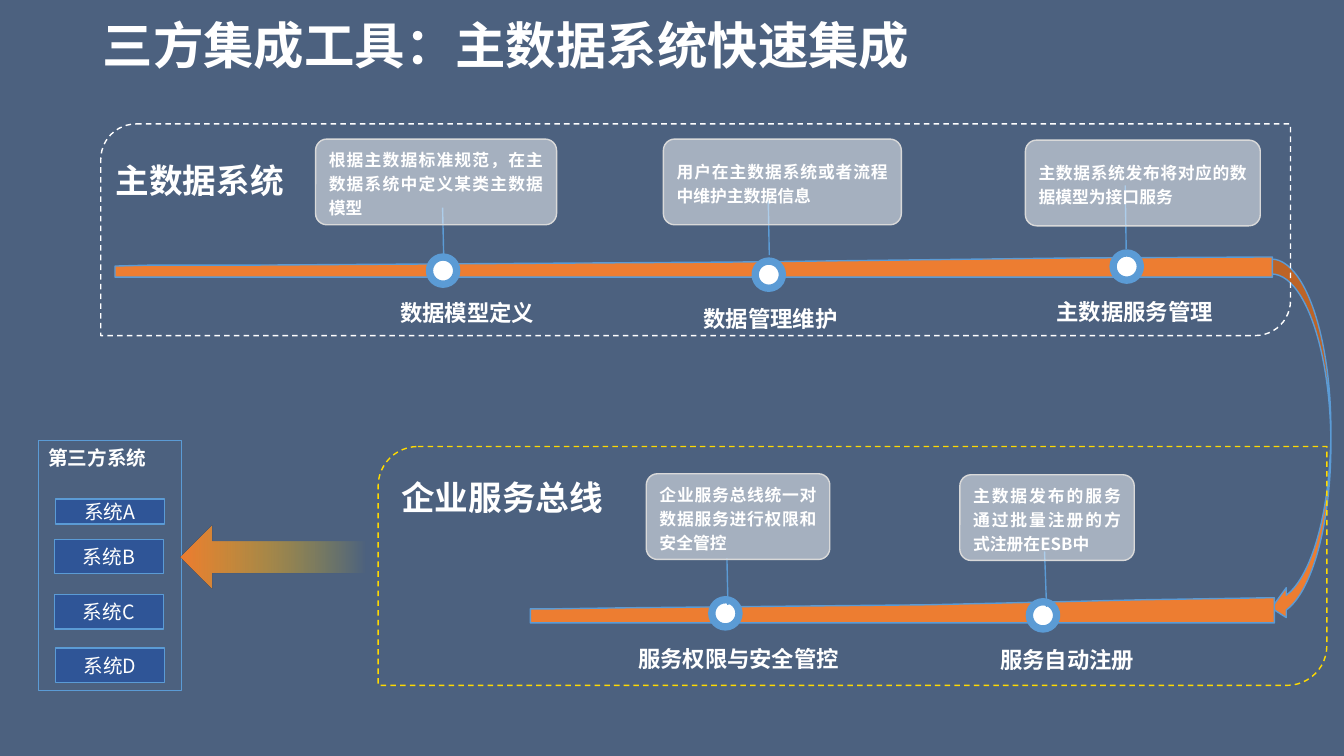
from lxml.etree import SubElement
from pptx import Presentation
from pptx.dml.color import RGBColor
from pptx.enum.dml import MSO_LINE
from pptx.enum.shapes import MSO_CONNECTOR, MSO_SHAPE
from pptx.enum.text import MSO_ANCHOR, PP_ALIGN
from pptx.oxml.ns import qn
from pptx.util import Inches, Pt

FONT = "Noto Sans CJK SC"
HUE = {"navy": "001F4A", "white": "FFFFFF", "blue": "5B9BD5", "deep": "2F5597",
       "orange": "ED7D31", "gold": "FFDA00", "grey": "D9D9D9"}
TITLE = {"size": 36, "line_spacing": 0.9, "anchor": MSO_ANCHOR.MIDDLE}
HEAD = {"size": 24, "alignment": PP_ALIGN.CENTER, "word_wrap": False}
LABEL = {"size": 16, "alignment": PP_ALIGN.JUSTIFY, "line_spacing": 1.2}
CARD = {"size": 12, "alignment": PP_ALIGN.JUSTIFY, "line_spacing": 1.2,
        "anchor": MSO_ANCHOR.MIDDLE}
OWNER = {"size": 14, "alignment": PP_ALIGN.LEFT}
UNIT = {"size": 14, "bold": False, "alignment": PP_ALIGN.CENTER,
        "anchor": MSO_ANCHOR.MIDDLE}

BANDS = [
    [(12.62, 2.55), (12.62, 2.75), (1.14, 2.75), (1.14, 2.64), (1.51, 2.63),
     (2.58, 2.63), (7.29, 2.6), (10.62, 2.56), (12.54, 2.55)],
    [(12.64, 5.93), (12.64, 6.18), (5.26, 6.18), (5.26, 6.04), (5.5, 6.04),
     (6.19, 6.03), (9.21, 6), (11.35, 5.95), (12.59, 5.93)],
]
STEPS = [
    ((4.26, 2.55), (4.39, 2.06, 4.4, 2.52),
     (3.87, 2.87, 1.68, 0.4), "数据模型定义",
     (3.13, 1.38, 2.39, 0.85), "根据主数据标准规范，在主数据系统中定义某类主数据模型"),
    ((7.49, 2.59), (7.62, 1.99, 7.63, 2.53),
     (6.88, 2.92, 1.68, 0.4), "数据管理维护",
     (6.58, 1.38, 2.36, 0.85), "用户在主数据系统或者流程中维护主数据信息"),
    ((11.04, 2.51), (11.16, 1.84, 11.17, 2.47),
     (10.38, 2.86, 2.02, 0.42), "主数据服务管理",
     (10.17, 1.39, 2.33, 0.85), "主数据系统发布将对应的数据模型为接口服务"),
    ((7.06, 5.95), (7.21, 5.54, 7.22, 6),
     (6.23, 6.3, 2.38, 0.42), "服务权限与安全管控",
     (6.41, 4.7, 1.82, 0.85), "企业服务总线统一对数据服务进行权限和安全管控"),
    ((10.21, 5.97), (10.36, 5.47, 10.38, 6.02),
     (9.82, 6.31, 1.68, 0.4), "服务自动注册",
     (9.52, 4.71, 1.73, 0.85), "主数据发布的服务通过批量注册的方式注册在ESB中"),
]
UNITS = [("系统A", 0.55, 4.95, 0.25), ("系统B", 0.54, 5.35, 0.34),
         ("系统C", 0.54, 5.9, 0.34), ("系统D", 0.55, 6.43, 0.34)]


def color(name):
    return RGBColor.from_string(HUE[name])


def fade(fill, share):
    tint = next(fill.iter(qn("a:srgbClr")))
    SubElement(tint, qn("a:alpha"), val=str(share * 1000))


def paint(shape, fill=None, line=None, width=1, alpha=None, dash=False):
    shape.shadow.inherit = False
    if fill:
        shape.fill.solid()
        shape.fill.fore_color.rgb = color(fill)
    else:
        shape.fill.background()
    if alpha:
        fade(shape.element.spPr.find(qn("a:solidFill")), alpha)
    if line:
        shape.line.color.rgb = color(line)
        shape.line.width = Pt(width)
    else:
        shape.line.fill.background()
    if dash:
        shape.line.dash_style = MSO_LINE.DASH


def write(shape, text, style):
    frame = shape.text_frame
    para = frame.paragraphs[0]
    run = para.add_run()
    run.text = text
    look = {"word_wrap": True, "anchor": MSO_ANCHOR.TOP, "bold": True,
            "name": FONT, **style}
    look["size"] = Pt(look["size"])
    look["vertical_anchor"] = look.pop("anchor")
    for key, value in look.items():
        if key in ("word_wrap", "vertical_anchor"):
            setattr(frame, key, value)
        elif key in ("alignment", "line_spacing"):
            setattr(para, key, value)
        else:
            setattr(run.font, key, value)
    run.font.color.rgb = color("white")
    SubElement(run.font._element, qn("a:ea"), typeface=FONT)


def add_block(slide, kind, box, **look):
    shape = slide.shapes.add_shape(kind, *map(Inches, box))
    paint(shape, **look)
    return shape


def add_text(slide, box, text, style):
    write(slide.shapes.add_textbox(*map(Inches, box)), text, style)


def add_band(slide, points):
    dots = [(Inches(x), Inches(y)) for x, y in points]
    form = slide.shapes.build_freeform(*dots[0])
    form.add_line_segments(dots[1:], close=True)
    paint(form.convert_to_shape(), fill="orange", line="blue")


def add_stem(slide, ends):
    stem = slide.shapes.add_connector(MSO_CONNECTOR.STRAIGHT, *map(Inches, ends))
    stem.line.color.rgb = color("blue")
    stem.line.width = Pt(1)
    SubElement(stem._element.spPr, qn("a:effectLst"))


def add_step(slide, dot, stem, place, label, box, note):
    add_block(slide, MSO_SHAPE.OVAL, (*dot, 0.27, 0.27),
              fill="white", line="blue", width=5.25)
    add_text(slide, place, label, LABEL)
    add_stem(slide, stem)
    card = add_block(slide, MSO_SHAPE.ROUNDED_RECTANGLE, box,
                     fill="white", line="grey", alpha=50)
    card.adjustments[0] = 0.132
    write(card, note, CARD)


def add_arrow(slide):
    arrow = add_block(slide, MSO_SHAPE.UP_ARROW, (2.39, 4.61, 0.63, 1.83))
    arrow.rotation = 270
    arrow.fill.gradient()
    arrow.fill.gradient_angle = 90
    for stop, name, spot in zip(arrow.fill.gradient_stops,
                                ("gold", "orange"), (0, 0.99)):
        stop.color.rgb = color(name)
        stop.position = spot
    fade(arrow.element.spPr.find(qn("a:gradFill")), 0)


def main():
    deck = Presentation()
    deck.slide_width, deck.slide_height = Inches(13.33), Inches(7.5)
    slide = deck.slides.add_slide(deck.slide_layouts[6])
    add_block(slide, MSO_SHAPE.RECTANGLE, (0, 0, 13.33, 7.5), fill="navy", alpha=70)
    add_text(slide, (0.92, 0.13, 11.5, 0.7), "三方集成工具：主数据系统快速集成", TITLE)
    add_block(slide, MSO_SHAPE.CURVED_LEFT_ARROW, (12.61, 2.57, 0.59, 3.61),
              fill="orange", line="blue")
    for points in BANDS:
        add_band(slide, points)
    for step in STEPS:
        add_step(slide, *step)
    for box, hue in [((3.75, 4.43, 9.41, 2.37), "gold"),
                     ((1, 1.23, 11.8, 2.1), "white")]:
        add_block(slide, MSO_SHAPE.ROUND_2_DIAG_RECTANGLE, box, line=hue, dash=True)
    add_text(slide, (1.04, 1.54, 1.88, 0.5), "主数据系统", HEAD)
    add_text(slide, (3.87, 4.68, 2.22, 0.5), "企业服务总线", HEAD)
    owner = add_block(slide, MSO_SHAPE.RECTANGLE, (0.38, 4.37, 1.42, 2.48), line="blue")
    write(owner, "第三方系统", OWNER)
    for name, left, top, height in UNITS:
        unit = add_block(slide, MSO_SHAPE.RECTANGLE, (left, top, 1.08, height),
                         fill="deep", line="blue")
        write(unit, name, UNIT)
    add_arrow(slide)
    deck.save("out.pptx")


if __name__ == "__main__":
    main()
